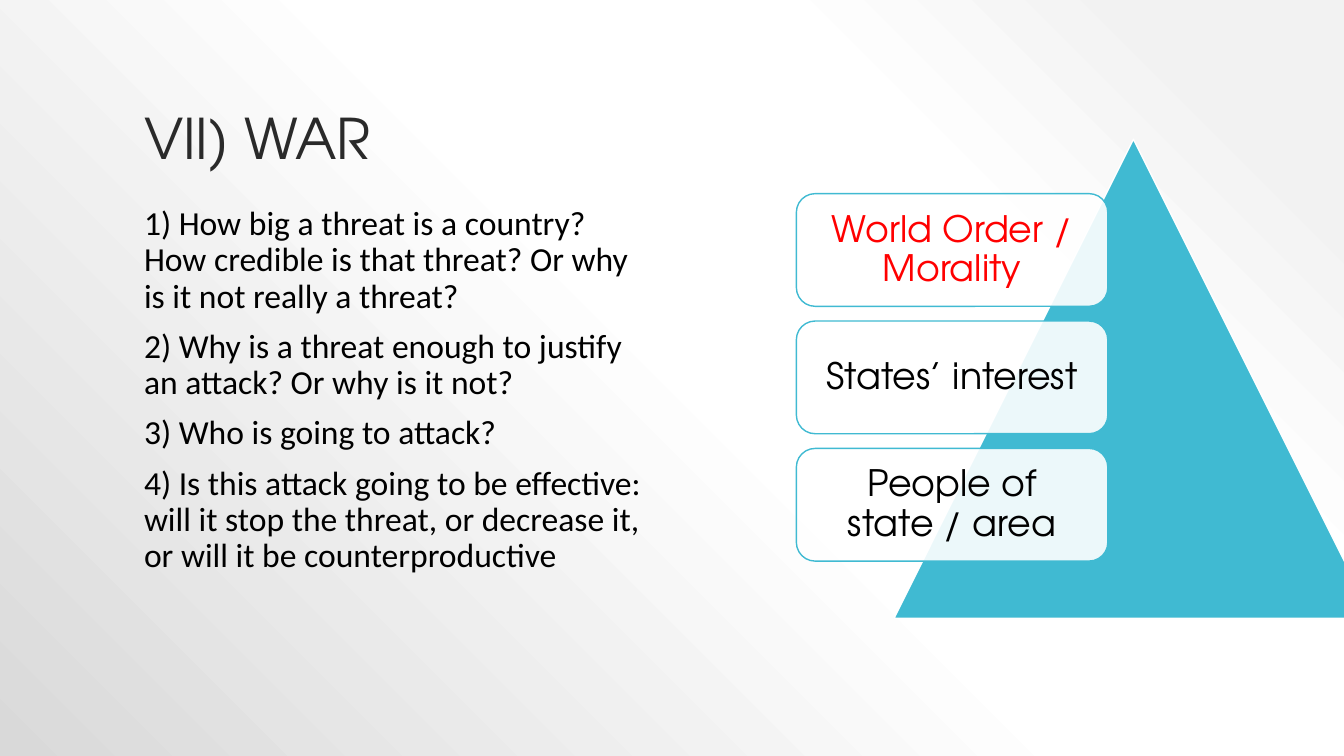
from dataclasses import dataclass

from lxml.etree import SubElement
from pptx import Presentation
from pptx.dml.color import RGBColor
from pptx.enum.shapes import MSO_SHAPE as Preset
from pptx.enum.text import MSO_ANCHOR as Anchor, PP_ALIGN as Align
from pptx.oxml import parse_xml
from pptx.oxml.ns import nsdecls, qn
from pptx.shapes.autoshape import Shape
from pptx.slide import Slide
from pptx.text.text import TextFrame
from pptx.util import Cm, Pt

COLORS = {
    "title": "2A2A2A",
    "text": "000000",
    "accent": "40BAD2",
    "white": "FFFFFF",
    "highlight": "FF0000",
}
BACKGROUND_STOPS = [(10, "F2F2F2"), (28, "FFFFFF"), (48, "FFFFFF"), (100, "D9D9D9")]
DISPLAY_FONT = "TeX Gyre Adventor"
BODY_FONT = "Calibri"


@dataclass(frozen=True)
class Area:
    """A rectangle on the slide, in centimetres."""
    left: float
    top: float
    width: float
    height: float

    def lengths(self) -> tuple[Cm, Cm, Cm, Cm]:
        return Cm(self.left), Cm(self.top), Cm(self.width), Cm(self.height)


@dataclass(frozen=True)
class TextStyle:
    font: str
    size: int
    color: str
    align: Align = Align.LEFT
    space_before: int = 0


@dataclass(frozen=True)
class Level:
    """One level of the pyramid of motives."""
    label: str
    color: str


TITLE_AREA = Area(3.38, 0.76, 27.1, 3.68)
QUESTIONS_AREA = Area(3.38, 5.08, 13.16, 12.07)
PYRAMID_AREA = Area(22.53, 3.51, 12.07, 12.07)
FIRST_LEVEL_AREA = Area(20.07, 4.88, 7.85, 2.84)
LEVEL_PITCH = 3.21
LEVEL_INSET = Cm(0.28)

QUESTIONS = [
    "1) How big a threat is a country? How credible is that threat? "
    "Or why is it not really a threat?",
    "2) Why is a threat enough to justify an attack? Or why is it not?",
    "3) Who is going to attack?",
    "4) Is this attack going to be effective: will it stop the threat, "
    "or decrease it, or will it be counterproductive",
]
LEVELS = [
    Level("World Order / Morality", "highlight"),
    Level("States’ interest", "text"),
    Level("People of state / area", "text"),
]


def rgb(name: str) -> RGBColor:
    return RGBColor.from_string(COLORS[name])


def paint_background(page: Slide) -> None:
    """Fill the page with a gradient that spreads from its top right corner."""
    stops = "".join(
        f'<a:gs pos="{percent * 1000}"><a:srgbClr val="{color}"/></a:gs>'
        for percent, color in BACKGROUND_STOPS
    )
    gradient = parse_xml(
        f'<a:gradFill {nsdecls("a")} rotWithShape="1"><a:gsLst>{stops}</a:gsLst>'
        '<a:path path="circle"><a:fillToRect l="100000" b="100000"/></a:path>'
        "</a:gradFill>"
    )
    page.background.fill.solid()
    properties = page.element.find(f".//{qn('p:bgPr')}")
    properties.replace(properties.find(qn("a:solidFill")), gradient)


def write_text(frame: TextFrame, lines: list[str], style: TextStyle, anchor: Anchor) -> None:
    frame.word_wrap = True
    frame.vertical_anchor = anchor
    frame.text = "\n".join(lines)
    for para in frame.paragraphs:
        para.alignment = style.align
        para.line_spacing = 0.9
        para.space_before = Pt(style.space_before)
        para.font.name = style.font
        para.font.size = Pt(style.size)
        para.font.color.rgb = rgb(style.color)


def add_text(page: Slide, area: Area, lines: list[str], style: TextStyle, anchor: Anchor) -> None:
    box = page.shapes.add_textbox(*area.lengths())
    write_text(box.text_frame, lines, style, anchor)


def add_outlined(page: Slide, preset: Preset, area: Area, fill: str, line: str) -> Shape:
    shape = page.shapes.add_shape(preset, *area.lengths())
    shape.shadow.inherit = False
    shape.fill.solid()
    shape.fill.fore_color.rgb = rgb(fill)
    shape.line.color.rgb = rgb(line)
    shape.line.width = Pt(1)
    return shape


def set_opacity(shape: Shape, percent: int) -> None:
    color = shape.element.spPr.find(f"{qn('a:solidFill')}/{qn('a:srgbClr')}")
    SubElement(color, qn("a:alpha")).set("val", str(percent * 1000))


def add_level(page: Slide, level: Level, index: int) -> None:
    first = FIRST_LEVEL_AREA
    area = Area(first.left, first.top + index * LEVEL_PITCH, first.width, first.height)
    box = add_outlined(page, Preset.ROUNDED_RECTANGLE, area, "white", "accent")
    set_opacity(box, 90)
    frame = box.text_frame
    frame.margin_left = frame.margin_right = LEVEL_INSET
    frame.margin_top = frame.margin_bottom = LEVEL_INSET
    style = TextStyle(DISPLAY_FONT, 26, level.color, Align.CENTER)
    write_text(frame, [level.label], style, Anchor.MIDDLE)


def main() -> None:
    deck = Presentation()
    deck.slide_width, deck.slide_height = Cm(33.87), Cm(19.05)
    page = deck.slides.add_slide(deck.slide_layouts[6])

    paint_background(page)
    title_style = TextStyle(DISPLAY_FONT, 40, "title")
    add_text(page, TITLE_AREA, ["VII) WAR"], title_style, Anchor.BOTTOM)
    question_style = TextStyle(BODY_FONT, 24, "text", space_before=10)
    add_text(page, QUESTIONS_AREA, QUESTIONS, question_style, Anchor.TOP)
    add_outlined(page, Preset.ISOSCELES_TRIANGLE, PYRAMID_AREA, "accent", "white")
    for index, level in enumerate(LEVELS):
        add_level(page, level, index)

    deck.save("out.pptx")


if __name__ == "__main__":
    main()
